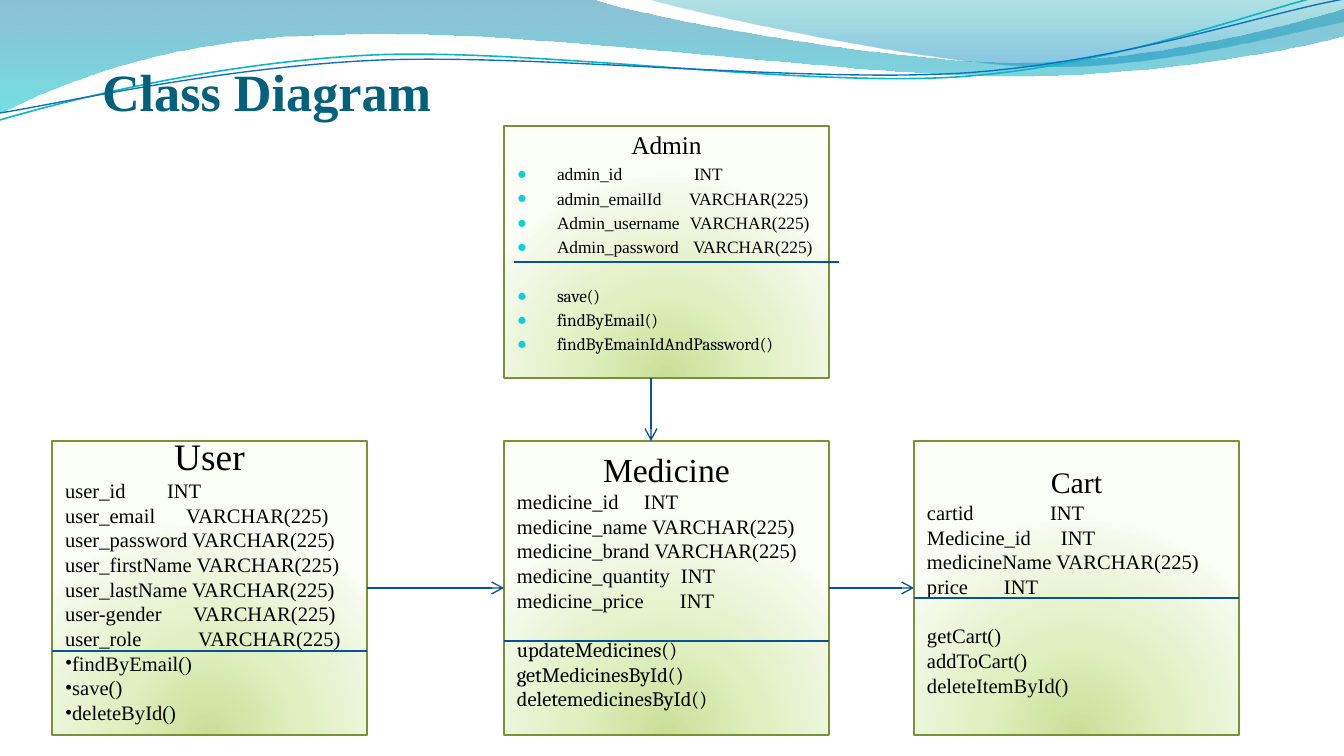
from math import cos, radians, sin

from lxml.etree import SubElement
from pptx import Presentation
from pptx.dml.color import RGBColor
from pptx.enum.shapes import MSO_CONNECTOR, MSO_SHAPE
from pptx.enum.text import MSO_ANCHOR, MSO_AUTO_SIZE, PP_ALIGN
from pptx.oxml.ns import qn
from pptx.util import Emu, Pt

SCALE = 914400 / 134.4
FONT = "Times New Roman"
METHOD_FONT = "Cambria"
CONNECTOR_COLOR = "095295"
BOX_STOPS = [(0, "C9DF97", 100), (43, "E0F0C1", 100), (93, "F5FAEC", 100), (100, "FCFEF8", 100)]

FILLED_WAVES = [
    ([(0, 0), (591, -1), (640, 17, 892, 63, 1019, 63), (1146, 63, 1288, 26, 1344, 9),
      (1345, 36), (1320, 44, 1169, 77, 1003, 77), (836, 75, 513, 28, 345, 35),
      (173, 36, 62, 83, -1, 114)],
     [(0, "0074A1", 45), (100, "00C6CF", 55)]),
    ([(644, -1), (684, 11, 917, 62, 1034, 66), (1150, 70, 1292, 32, 1344, 22), (1344, 0)],
     [(0, "00A1A9", 30), (80, "008BBF", 45)]),
]
LINE_WAVES = [
    ([(0, 120), (65, 101, 212, 63, 372, 55), (532, 48, 796, 87, 957, 77),
      (1120, 66, 1262, 8, 1341, -9)], "0AB8BF", 0.85),
    ([(0, 113), (63, 103, 220, 67, 380, 60), (542, 54, 802, 83, 964, 73),
      (1124, 62, 1265, 13, 1344, -1)], "0F6FC6", 0.75),
]
LINE_WAVE_CENTER = (671, 59)
LINE_WAVE_ROTATION = 357.3

ADMIN = {
    "name": "Admin", "name_size": 13.6, "name_height": 34, "size": 9.3, "row_height": 13,
    "attributes": [("admin_id\tINT", 177), ("admin_emailId\tVARCHAR(225)", 172),
                   ("Admin_username\tVARCHAR(225)", 173), ("Admin_password\tVARCHAR(225)", 176)],
    "methods": ["save()", "findByEmail()", "findByEmainIdAndPassword()"],
    "method_font": METHOD_FONT, "gap": 13, "divider": (10, 136),
    "attribute_bullet": "●", "method_bullet": "●", "indent": 40,
}
USER = {
    "name": "User", "name_size": 20, "name_height": 37, "size": 11, "row_height": 13.2,
    "attributes": [("user_id\tINT", 102), ("user_email\tVARCHAR(225)", 121),
                   ("user_password VARCHAR(225)", 0), ("user_firstName VARCHAR(225)", 0),
                   ("user_lastName VARCHAR(225)", 0), ("user-gender\tVARCHAR(225)", 128),
                   ("user_role\tVARCHAR(225)", 133)],
    "methods": ["findByEmail()", "save()", "deleteById()"],
    "method_font": FONT, "gap": 0, "divider": (0, 210),
    "attribute_bullet": None, "method_bullet": "•", "indent": 0,
}
MEDICINE = {
    "name": "Medicine", "name_size": 18, "name_height": 48, "size": 11, "row_height": 13.2,
    "attributes": [("medicine_id\tINT", 127), ("medicine_name VARCHAR(225)", 0),
                   ("medicine_brand VARCHAR(225)", 0), ("medicine_quantity\tINT", 164),
                   ("medicine_price\tINT", 163)],
    "methods": ["updateMedicines()", "getMedicinesById()", "deletemedicinesById()"],
    "method_font": METHOD_FONT, "gap": 13.2, "divider": (0, 200),
    "attribute_bullet": None, "method_bullet": None, "indent": 0,
}
CART = {
    "name": "Cart", "name_size": 16, "name_height": 59, "size": 11, "row_height": 13.2,
    "attributes": [("cartid\tINT", 123), ("Medicine_id\tINT", 134),
                   ("medicineName VARCHAR(225)", 0), ("price\tINT", 77)],
    "methods": ["getCart()", "addToCart()", "deleteItemById()"],
    "method_font": FONT, "gap": 13.2, "divider": (0, 157),
    "attribute_bullet": None, "method_bullet": None, "indent": 0,
}


def px(value):
    return Emu(round(value * SCALE))


def color(value):
    return RGBColor.from_string(value)


def place(shape, box):
    shape.left, shape.top, shape.width, shape.height = map(px, box)


def add_color(parent, value, opacity=100):
    element = SubElement(parent, qn("a:srgbClr"), val=value)
    if opacity < 100:
        SubElement(element, qn("a:alpha"), val=str(opacity * 1000))


def fill_gradient(shape, stops, radial=False):
    shape.fill.gradient()
    gradient = shape.element.spPr.find(qn("a:gradFill"))
    for child in list(gradient):
        gradient.remove(child)
    stop_list = SubElement(gradient, qn("a:gsLst"))
    for position, value, opacity in stops:
        add_color(SubElement(stop_list, qn("a:gs"), pos=str(position * 1000)), value, opacity)
    if radial:
        circle = SubElement(gradient, qn("a:path"), path="circle")
        SubElement(circle, qn("a:fillToRect"), l="50000", t="130000", r="50000", b="-30000")
    else:
        SubElement(gradient, qn("a:lin"), ang="5400000", scaled="1")


def rotate(point, degrees):
    angle = radians(degrees)
    center_x, center_y = LINE_WAVE_CENTER
    x, y = point[0] - center_x, point[1] - center_y
    return center_x + x * cos(angle) - y * sin(angle), center_y + x * sin(angle) + y * cos(angle)


def add_wave(slide, segments, closed, rotation=0):
    points = [rotate(segment[index:index + 2], -rotation)
              for segment in segments for index in range(0, len(segment), 2)]
    scaled = [(px(x), px(y)) for x, y in points]
    builder = slide.shapes.build_freeform(*scaled[0], scale=1.0)
    builder.add_line_segments(scaled[1:], close=closed)
    shape = builder.convert_to_shape()
    shape.shadow.inherit = False
    shape.rotation = rotation
    steps = iter(list(shape.element.iter(qn("a:lnTo"))))
    for segment in segments[1:]:
        first = next(steps)
        if len(segment) == 6:
            first.tag = qn("a:cubicBezTo")
            for _ in range(2):
                step = next(steps)
                first.append(step[0])
                step.getparent().remove(step)
    return shape


def add_background(slide):
    for segments, stops in FILLED_WAVES:
        shape = add_wave(slide, segments, True)
        fill_gradient(shape, stops)
        shape.line.fill.background()
    for segments, line_color, width in LINE_WAVES:
        shape = add_wave(slide, segments, False, LINE_WAVE_ROTATION)
        shape.fill.background()
        shape.line.color.rgb = color(line_color)
        shape.line.width = Pt(width)


def format_font(paragraph, name, size, value="000000"):
    paragraph.font.name = name
    paragraph.font.size = Pt(size)
    paragraph.font.color.rgb = color(value)


def set_title(slide, text, box):
    title = slide.shapes.title
    title.element.getparent().append(title.element)
    place(title, box)
    frame = title.text_frame
    frame.auto_size = MSO_AUTO_SIZE.NONE
    frame.vertical_anchor = MSO_ANCHOR.BOTTOM
    frame.margin_left, frame.margin_right, frame.margin_bottom = px(39), 0, 0
    frame.text = text
    paragraph = frame.paragraphs[0]
    paragraph.alignment = PP_ALIGN.LEFT
    format_font(paragraph, FONT, 28, "04617B")
    paragraph.font.bold = True


def format_list(paragraph, bullet, indent, tab_stop):
    properties = paragraph._p.get_or_add_pPr()
    if indent or not tab_stop:
        properties.set("marL", str(px(indent)))
        properties.set("indent", str(-px(indent)))
    extras = []
    if bullet == "●":
        bullet_color = properties.makeelement(qn("a:buClr"))
        add_color(bullet_color, "0BD0D9")
        extras += [bullet_color, properties.makeelement(qn("a:buSzPct"), val="95000")]
    elif bullet:
        extras.append(properties.makeelement(qn("a:buFont"), typeface=FONT))
    if bullet:
        extras.append(properties.makeelement(qn("a:buChar"), char=bullet))
    else:
        extras.append(properties.makeelement(qn("a:buNone")))
    if tab_stop:
        tabs = properties.makeelement(qn("a:tabLst"))
        SubElement(tabs, qn("a:tab"), pos=str(px(tab_stop)), algn="l")
        extras.append(tabs)
    font = properties.find(qn("a:defRPr"))
    for extra in extras:
        font.addprevious(extra)


def add_line(slide, start, end, arrow=False):
    line = slide.shapes.add_connector(MSO_CONNECTOR.STRAIGHT, *map(px, start + end))
    line.line.color.rgb = color(CONNECTOR_COLOR)
    line.line.width = Pt(0.75)
    if arrow:
        SubElement(line.line._get_or_add_ln(), qn("a:tailEnd"), type="arrow")
    SubElement(line.element.spPr, qn("a:effectLst"))
    return line


def add_class(slide, box, content, shape=None):
    shape = shape or slide.shapes.add_shape(MSO_SHAPE.RECTANGLE, 0, 0, 0, 0)
    shape.element.getparent().append(shape.element)
    place(shape, box)
    fill_gradient(shape, BOX_STOPS, radial=True)
    shape.line.color.rgb = color("7B9135")
    shape.line.width = Pt(0.75)
    shape.shadow.inherit = False

    frame = shape.text_frame
    frame.word_wrap = True
    frame.auto_size = MSO_AUTO_SIZE.NONE
    frame.vertical_anchor = MSO_ANCHOR.TOP
    frame.margin_left = frame.margin_right = px(13)
    frame.margin_top = frame.margin_bottom = 0
    heading = frame.paragraphs[0]
    heading.text = content["name"]
    heading.alignment = PP_ALIGN.CENTER
    heading.line_spacing = px(content["name_height"])
    heading.space_before = Pt(0)
    format_font(heading, FONT, content["name_size"])
    format_list(heading, None, 0, 0)

    rows = [(text, stop, FONT, content["attribute_bullet"], 0) for text, stop in content["attributes"]]
    rows += [(text, 0, content["method_font"], content["method_bullet"], 0 if index else content["gap"])
             for index, text in enumerate(content["methods"])]
    for text, stop, font, bullet, gap in rows:
        paragraph = frame.add_paragraph()
        paragraph.text = text
        paragraph.alignment = PP_ALIGN.LEFT
        paragraph.line_spacing = Pt(content["row_height"])
        paragraph.space_before = Pt(gap)
        format_font(paragraph, font, content["size"])
        format_list(paragraph, bullet, content["indent"], stop)

    left, top, width, _ = box
    shift, depth = content["divider"]
    add_line(slide, (left + shift, top + depth), (left + shift + width, top + depth))
    return shape


def main():
    presentation = Presentation()
    presentation.slide_width, presentation.slide_height = px(1344), px(756)
    slide = presentation.slides.add_slide(presentation.slide_layouts[1])
    add_background(slide)
    set_title(slide, "Class Diagram", (63, 32, 903, 90))
    add_class(slide, (504, 126, 325, 252), ADMIN, slide.placeholders[1])
    user = add_class(slide, (52, 441, 315, 294), USER)
    medicine = add_class(slide, (504, 441, 325, 294), MEDICINE)
    cart = add_class(slide, (914, 441, 325, 294), CART)
    for source, target in ((user, medicine), (medicine, cart)):
        arrow = add_line(slide, (0, 0), (1, 1), arrow=True)
        arrow.begin_connect(source, 3)
        arrow.end_connect(target, 1)
    add_line(slide, (651, 378), (651, 441), arrow=True)
    presentation.save("out.pptx")


if __name__ == "__main__":
    main()
